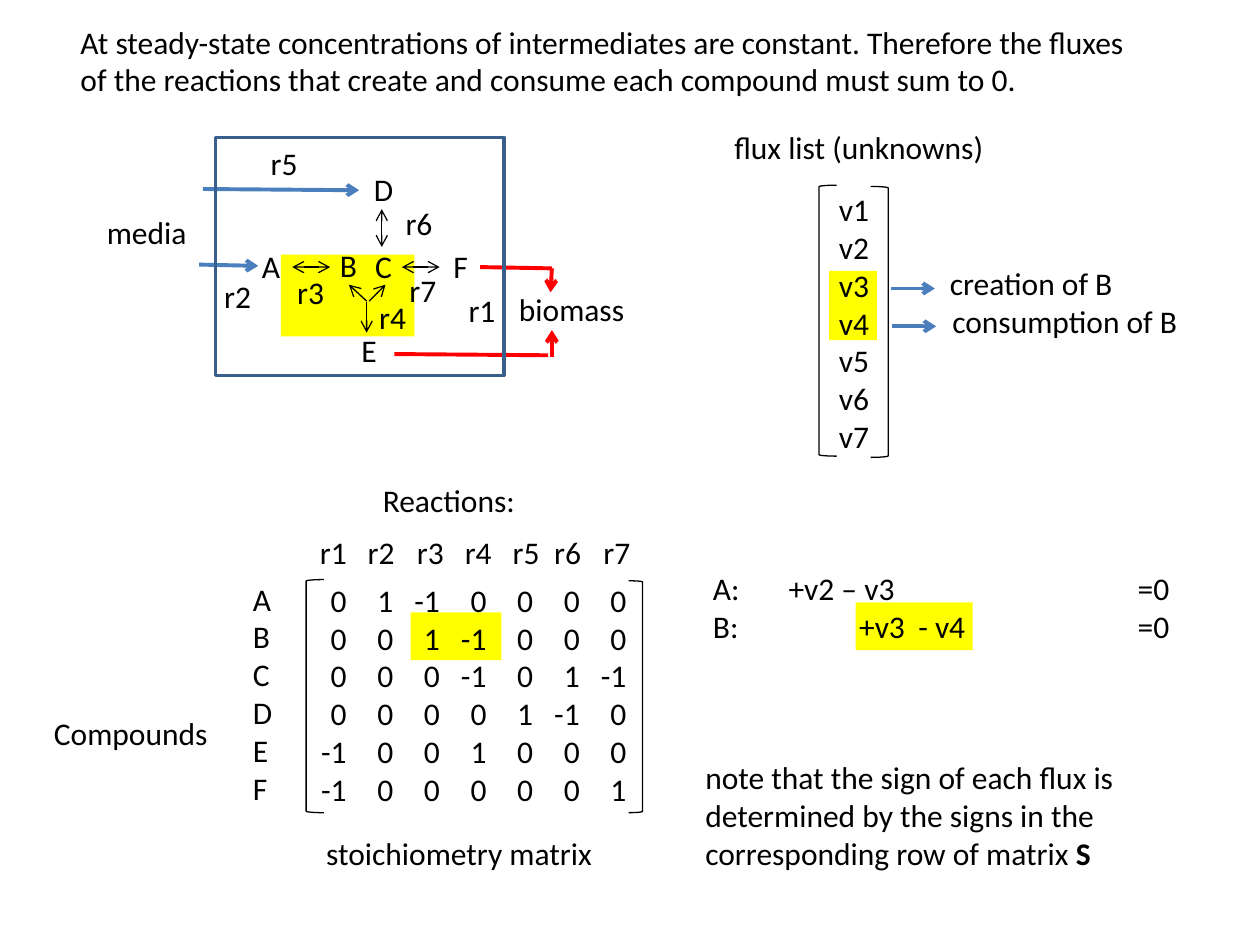
from typing import NamedTuple

from lxml import etree
from pptx import Presentation
from pptx.dml.color import RGBColor
from pptx.enum import shapes, text
from pptx.oxml import ns
from pptx.util import Inches, Pt

BLACK = RGBColor(0x00, 0x00, 0x00)
YELLOW = RGBColor(0xFF, 0xFF, 0x00)
RED = RGBColor(0xFF, 0x00, 0x00)
BLUE = RGBColor(0x4B, 0x7E, 0xBC)
NAVY = RGBColor(0x3A, 0x5F, 0x8C)
FONT = "Calibri"


class Label(NamedTuple):
    wording: str
    left: float
    top: float
    width: float
    height: float = 0.4


class Box(NamedTuple):
    left: float
    top: float
    width: float
    height: float


class Bracket(NamedTuple):
    box: Box
    flipped: bool = False


class Arrow(NamedTuple):
    start: tuple[float, float]
    end: tuple[float, float]
    color: RGBColor = BLACK
    width: float = 0.75
    head: bool = False
    tail: bool = False


HIGHLIGHTS = [
    Box(6.58, 2.15, 0.38, 0.55),
    Box(2.23, 2.02, 1.06, 0.65),
    Box(6.79, 4.78, 0.93, 0.38),
    Box(3.26, 4.86, 0.72, 0.38),
]
CELL = Box(1.71, 1.09, 2.29, 1.89)
BRACKETS = [
    Bracket(Box(2.43, 4.6, 0.14, 1.85)),
    Bracket(Box(4.99, 4.61, 0.11, 1.84), True),
    Bracket(Box(6.5, 1.47, 0.14, 2.15)),
    Bracket(Box(6.91, 1.48, 0.14, 2.15), True),
]
COMPOUNDS = "ABCDEF"
STOICHIOMETRY = [
    (0, 1, -1, 0, 0, 0, 0),
    (0, 0, 1, -1, 0, 0, 0),
    (0, 0, 0, -1, 0, 1, -1),
    (0, 0, 0, 0, 1, -1, 0),
    (-1, 0, 0, 1, 0, 0, 0),
    (-1, 0, 0, 0, 0, 0, 1),
]
COLUMN_RIGHT, COLUMN_STEP, COLUMN_WIDTH = 2.85, 0.37, 0.46
REACTION_TABS = [0.38, 0.77, 1.15, 1.53, 1.86, 2.25]
BALANCE_TABS = [0.6, 1.16, 1.63, 3.37]
LABELS = [
    Label("Reactions:", 2.94, 3.77, 1.26),
    Label("Compounds", 0.33, 5.62, 1.44),
    Label("\n".join(COMPOUNDS), 1.91, 4.55, 0.36, 1.92),
    Label("stoichiometry matrix", 2.49, 6.57, 2.31),
    Label("\n".join(f"v{n}" for n in range(1, 8)), 6.56, 1.46, 0.44, 2.22),
    Label("flux list (unknowns)", 5.73, 0.97, 2.2),
    Label("A", 1.98, 1.91, 0.35),
    Label("B", 2.6, 1.9, 0.34),
    Label("C", 2.88, 1.91, 0.34),
    Label("D", 2.87, 1.3, 0.36),
    Label("E", 2.77, 2.58, 0.32),
    Label("F", 3.5, 1.91, 0.32),
    Label("r1", 3.62, 2.26, 0.42),
    Label("r2", 1.68, 2.15, 0.42),
    Label("r3", 2.26, 2.12, 0.42),
    Label("r4", 2.91, 2.32, 0.42),
    Label("r5", 2.05, 1.09, 0.42),
    Label("r6", 3.12, 1.57, 0.42),
    Label("r7", 3.15, 2.1, 0.42),
    Label("biomass", 4.02, 2.25, 1.05),
    Label("media", 0.75, 1.64, 0.84),
    Label("creation of B", 7.44, 2.05, 1.52),
    Label("consumption of B", 7.46, 2.35, 2.01),
]
ARROWS = [
    Arrow((2.32, 2.12), (2.62, 2.12), head=True, tail=True),
    Arrow((3.03, 1.96), (3.03, 1.66), head=True, tail=True),
    Arrow((3.19, 2.12), (3.49, 2.12), head=True, tail=True),
    Arrow((2.77, 2.26), (2.91, 2.39), head=True),
    Arrow((3.06, 2.26), (2.93, 2.39), head=True),
    Arrow((2.91, 2.4), (2.91, 2.64), tail=True),
    Arrow((1.58, 2.1), (2.05, 2.11), BLUE, 2.25, tail=True),
    Arrow((1.61, 1.5), (2.85, 1.51), BLUE, 2.25, tail=True),
    Arrow((7.07, 2.29), (7.42, 2.29), BLUE, 2.25, tail=True),
    Arrow((7.08, 2.59), (7.43, 2.59), BLUE, 2.25, tail=True),
    Arrow((3.81, 2.12), (4.38, 2.13), RED, 2.25),
    Arrow((3.13, 2.81), (4.35, 2.82), RED, 2.25),
    Arrow((4.38, 2.13), (4.37, 2.32), RED, 2.25, tail=True),
    Arrow((4.38, 2.83), (4.38, 2.62), RED, 2.25, tail=True),
]


def add_text(slide, label: Label, *, wrap=False, align=text.PP_ALIGN.LEFT, tabs=(), bold_end=""):
    box = slide.shapes.add_textbox(*map(Inches, label[1:]))
    frame = box.text_frame
    frame.word_wrap = wrap
    frame.auto_size = text.MSO_AUTO_SIZE.SHAPE_TO_FIT_TEXT
    for index, line in enumerate(label.wording.split("\n")):
        paragraph = frame.add_paragraph() if index else frame.paragraphs[0]
        paragraph.alignment = align
        if tabs:
            tab_list = etree.SubElement(paragraph._p.get_or_add_pPr(), ns.qn("a:tabLst"))
            for position in tabs:
                etree.SubElement(tab_list, ns.qn("a:tab"), pos=str(Inches(position)), algn="l")
        paragraph.font.size = Pt(18)
        paragraph.font.name = FONT
        paragraph.font.color.rgb = BLACK
        paragraph.add_run().text = line
    if bold_end:
        run = paragraph.add_run()
        run.text = bold_end
        run.font.bold = True
    for paragraph in frame.paragraphs:
        for run in paragraph.runs:
            run.font.size = Pt(18)
            run.font.name = FONT
            run.font.color.rgb = BLACK


def add_outline(slide, preset, box: Box, *, fill=None, line=None, width=0.75):
    shape = slide.shapes.add_shape(preset, *map(Inches, box))
    shape.shadow.inherit = False
    if fill is None:
        shape.fill.background()
    else:
        shape.fill.solid()
        shape.fill.fore_color.rgb = fill
    if line is None:
        shape.line.fill.background()
    else:
        shape.line.color.rgb = line
        shape.line.width = Pt(width)
    return shape


def add_arrow(slide, arrow: Arrow):
    connector = slide.shapes.add_connector(
        shapes.MSO_CONNECTOR.STRAIGHT, *map(Inches, arrow.start + arrow.end))
    connector.line.color.rgb = arrow.color
    connector.line.width = Pt(arrow.width)
    line = connector.line._get_or_add_ln()
    for name, wanted in (("a:headEnd", arrow.head), ("a:tailEnd", arrow.tail)):
        if wanted:
            etree.SubElement(line, ns.qn(name), type="arrow")
    etree.SubElement(connector._element.spPr, ns.qn("a:effectLst"))


def main():
    presentation = Presentation()
    presentation.slide_width, presentation.slide_height = Inches(10), Inches(7.5)
    slide = presentation.slides.add_slide(presentation.slide_layouts[6])

    for box in HIGHLIGHTS:
        add_outline(slide, shapes.MSO_SHAPE.RECTANGLE, box, fill=YELLOW)
    for bracket in BRACKETS:
        shape = add_outline(slide, shapes.MSO_SHAPE.LEFT_BRACKET, bracket.box, line=BLACK)
        if bracket.flipped:
            shape._element.spPr.xfrm.set("flipH", "1")
    for label in LABELS:
        add_text(slide, label)

    reactions = "\t".join(f"r{n}" for n in range(1, 8))
    add_text(slide, Label(reactions, 2.44, 4.18, 2.79), wrap=True, tabs=REACTION_TABS)
    for index, column in enumerate(zip(*STOICHIOMETRY)):
        left = COLUMN_RIGHT + index * COLUMN_STEP - COLUMN_WIDTH
        add_text(slide, Label("\n".join(map(str, column)), left, 4.56, COLUMN_WIDTH, 1.92),
                 wrap=True, align=text.PP_ALIGN.RIGHT)

    for arrow in ARROWS:
        add_arrow(slide, arrow)
    add_outline(slide, shapes.MSO_SHAPE.RECTANGLE, CELL, line=NAVY, width=2)

    add_text(slide, Label(
        "At steady-state concentrations of intermediates are constant. Therefore the fluxes "
        "of the reactions that create and consume each compound must sum to 0.",
        0.54, 0.13, 8.59, 0.71), wrap=True)
    add_text(slide, Label("A:\t+v2 – v3\t\t=0\nB:\t\t+v3\t- v4\t=0", 5.56, 4.47, 3.89, 0.71),
             wrap=True, tabs=BALANCE_TABS)
    add_text(slide, Label(
        "note that the sign of each flux is determined by the signs in the "
        "corresponding row of matrix ", 5.5, 5.97, 3.87, 1.01), wrap=True, bold_end="S")
    presentation.save("out.pptx")


if __name__ == "__main__":
    main()
